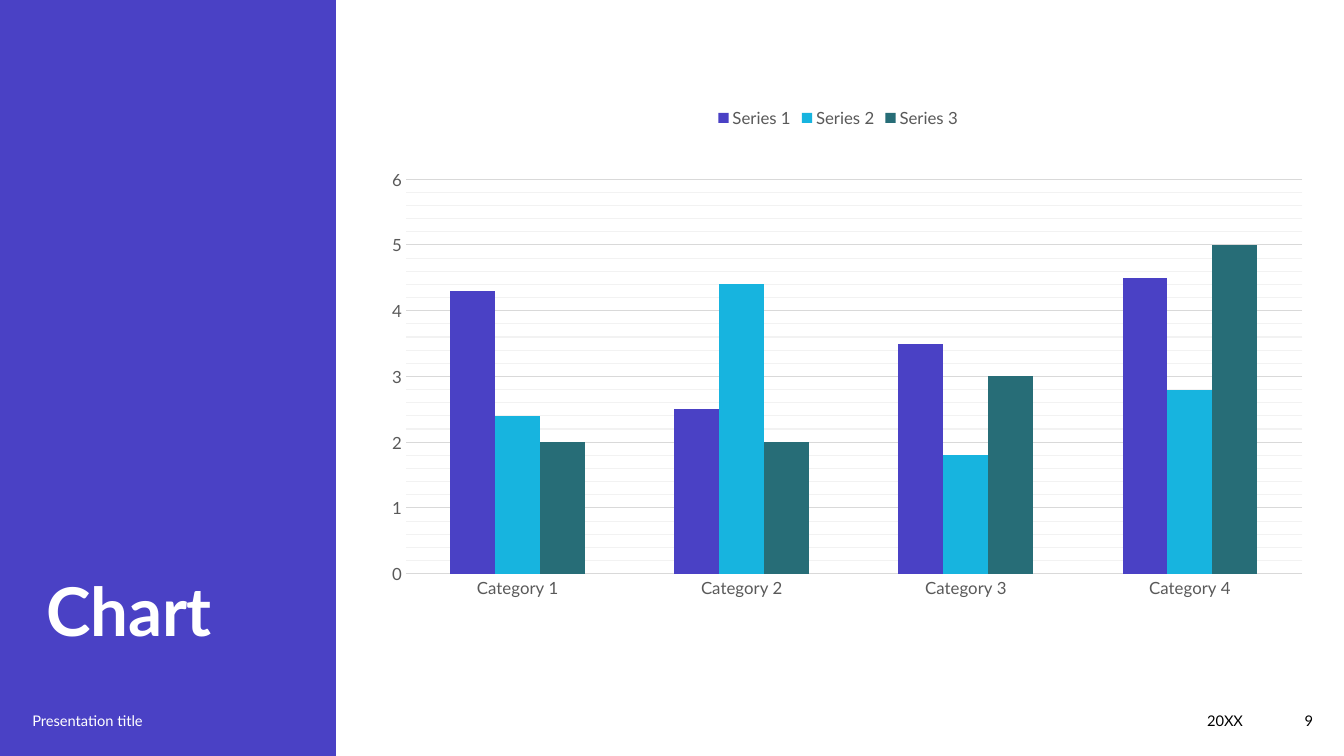
from dataclasses import dataclass

import pptx
import pptx.chart.data
import pptx.dml.color
import pptx.enum.chart
import pptx.enum.shapes
import pptx.enum.text
import pptx.oxml
import pptx.oxml.ns
import pptx.util

Pt = pptx.util.Pt
RGBColor = pptx.dml.color.RGBColor
Align = pptx.enum.text.PP_ALIGN
Anchor = pptx.enum.text.MSO_ANCHOR

INDIGO = RGBColor(0x4A, 0x41, 0xC5)
SKY = RGBColor(0x17, 0xB4, 0xDF)
TEAL = RGBColor(0x27, 0x6D, 0x77)
WHITE = RGBColor(0xFF, 0xFF, 0xFF)
BLACK = RGBColor(0, 0, 0)
GREY_TEXT = RGBColor(0x59, 0x59, 0x59)
MAJOR_GRID = RGBColor(0xD9, 0xD9, 0xD9)
MINOR_GRID = RGBColor(0xF2, 0xF2, 0xF2)
FONT = "Lato"

CATEGORIES = [f"Category {number}" for number in range(1, 5)]
PLOT_AREA = {"x": 0.044, "y": 0.158, "w": 0.945, "h": 0.754}


@dataclass(frozen=True)
class Series:
    name: str
    values: tuple[float, ...]
    color: RGBColor


@dataclass(frozen=True)
class FooterItem:
    text: str
    left: float
    width: float
    color: RGBColor
    align: Align


SERIES = [
    Series("Series 1", (4.3, 2.5, 3.5, 4.5), INDIGO),
    Series("Series 2", (2.4, 4.4, 1.8, 2.8), SKY),
    Series("Series 3", (2, 2, 3, 5), TEAL),
]
FOOTER = [
    FooterItem("Presentation title", 16, 218, WHITE, Align.LEFT),
    FooterItem("20XX", 552, 343, BLACK, Align.RIGHT),
    FooterItem("9", 895, 50, BLACK, Align.RIGHT),
]


def style_font(font, size: float, color: RGBColor, bold: bool = False) -> None:
    font.name = FONT
    font.size = Pt(size)
    font.bold = bold
    font.color.rgb = color


def write_text(box, text: str, *, size: float, color: RGBColor, bold: bool = False,
               align: Align = Align.LEFT, anchor: Anchor = Anchor.MIDDLE,
               spacing: float = 0) -> None:
    frame = box.text_frame
    frame.word_wrap = True
    frame.auto_size = pptx.enum.text.MSO_AUTO_SIZE.NONE
    frame.vertical_anchor = anchor
    para = frame.paragraphs[0]
    para.alignment = align
    span = para.add_run()
    span.text = text
    style_font(span.font, size, color, bold)
    if spacing:
        properties = box.element.find(".//" + pptx.oxml.ns.qn("a:rPr"))
        properties.set("spc", str(round(spacing * 100)))


def add_side_panel(page) -> None:
    panel = page.shapes.add_shape(
        pptx.enum.shapes.MSO_SHAPE.RECTANGLE, 0, 0, Pt(240), Pt(540))
    panel.shadow.inherit = False
    panel.fill.solid()
    panel.fill.fore_color.rgb = INDIGO
    panel.line.fill.background()
    page.shapes.title.element.addprevious(panel.element)


def add_title(page) -> None:
    title = page.shapes.title
    title.left, title.top, title.width, title.height = Pt(26), Pt(69), Pt(188), Pt(399)
    write_text(title, "Chart", size=48, color=WHITE, bold=True,
               anchor=Anchor.BOTTOM, spacing=-0.2)


def add_footer_item(page, item: FooterItem) -> None:
    box = page.shapes.add_textbox(Pt(item.left), Pt(500.5), Pt(item.width), Pt(28.75))
    write_text(box, item.text, size=10.5, color=item.color, align=item.align)


def style_line(line, color: RGBColor) -> None:
    line.color.rgb = color
    line.width = Pt(0.75)


def fix_plot_area(chart) -> None:
    """Place the inner plot area at fixed fractions of the chart."""
    plot_area = chart.element.find(".//" + pptx.oxml.ns.qn("c:plotArea"))
    for layout in plot_area.findall(pptx.oxml.ns.qn("c:layout")):
        plot_area.remove(layout)
    modes = "".join(f'<c:{side}Mode val="edge"/>' for side in "xy")
    sizes = "".join(f'<c:{side} val="{share}"/>' for side, share in PLOT_AREA.items())
    plot_area.insert(0, pptx.oxml.parse_xml(
        f'<c:layout {pptx.oxml.ns.nsdecls("c")}><c:manualLayout>'
        f'<c:layoutTarget val="inner"/>{modes}{sizes}</c:manualLayout></c:layout>'))


def style_minor_gridlines(chart) -> None:
    gridlines = chart.element.find(".//" + pptx.oxml.ns.qn("c:minorGridlines"))
    gridlines.append(pptx.oxml.parse_xml(
        f'<c:spPr {pptx.oxml.ns.nsdecls("c", "a")}><a:ln w="{Pt(0.75)}"><a:solidFill>'
        f'<a:srgbClr val="{MINOR_GRID}"/></a:solidFill></a:ln></c:spPr>'))


def style_axes(chart) -> None:
    for axis in (chart.category_axis, chart.value_axis):
        axis.major_tick_mark = pptx.enum.chart.XL_TICK_MARK.NONE
        axis.minor_tick_mark = pptx.enum.chart.XL_TICK_MARK.NONE
        style_font(axis.tick_labels.font, 12, GREY_TEXT)
    style_line(chart.category_axis.format.line, MAJOR_GRID)
    values = chart.value_axis
    values.format.line.fill.background()
    values.minimum_scale, values.maximum_scale = 0, 6
    values.major_unit, values.minor_unit = 1, 0.2
    values.has_major_gridlines = values.has_minor_gridlines = True
    style_line(values.major_gridlines.format.line, MAJOR_GRID)
    style_minor_gridlines(chart)


def add_column_chart(page) -> None:
    chart_data = pptx.chart.data.CategoryChartData()
    chart_data.categories = CATEGORIES
    for series in SERIES:
        chart_data.add_series(series.name, series.values)
    chart = page.shapes.add_chart(
        pptx.enum.chart.XL_CHART_TYPE.COLUMN_CLUSTERED,
        Pt(260), Pt(69), Pt(677.5), Pt(373.75), chart_data).chart
    style_font(chart.font, 10, BLACK)
    chart.has_title = False
    chart.has_legend = True
    chart.legend.position = pptx.enum.chart.XL_LEGEND_POSITION.TOP
    chart.legend.include_in_layout = False
    style_font(chart.legend.font, 12, GREY_TEXT)
    plot = chart.plots[0]
    plot.vary_by_categories = False
    plot.gap_width = 199
    plot.overlap = 0
    for bars, series in zip(plot.series, SERIES):
        bars.format.fill.solid()
        bars.format.fill.fore_color.rgb = series.color
        bars.invert_if_negative = False
    style_axes(chart)
    fix_plot_area(chart)


def main() -> None:
    deck = pptx.Presentation()
    deck.slide_width, deck.slide_height = Pt(960), Pt(540)
    page = deck.slides.add_slide(deck.slide_layouts[5])
    add_side_panel(page)
    add_title(page)
    add_column_chart(page)
    for item in FOOTER:
        add_footer_item(page, item)
    deck.save("out.pptx")


if __name__ == "__main__":
    main()
